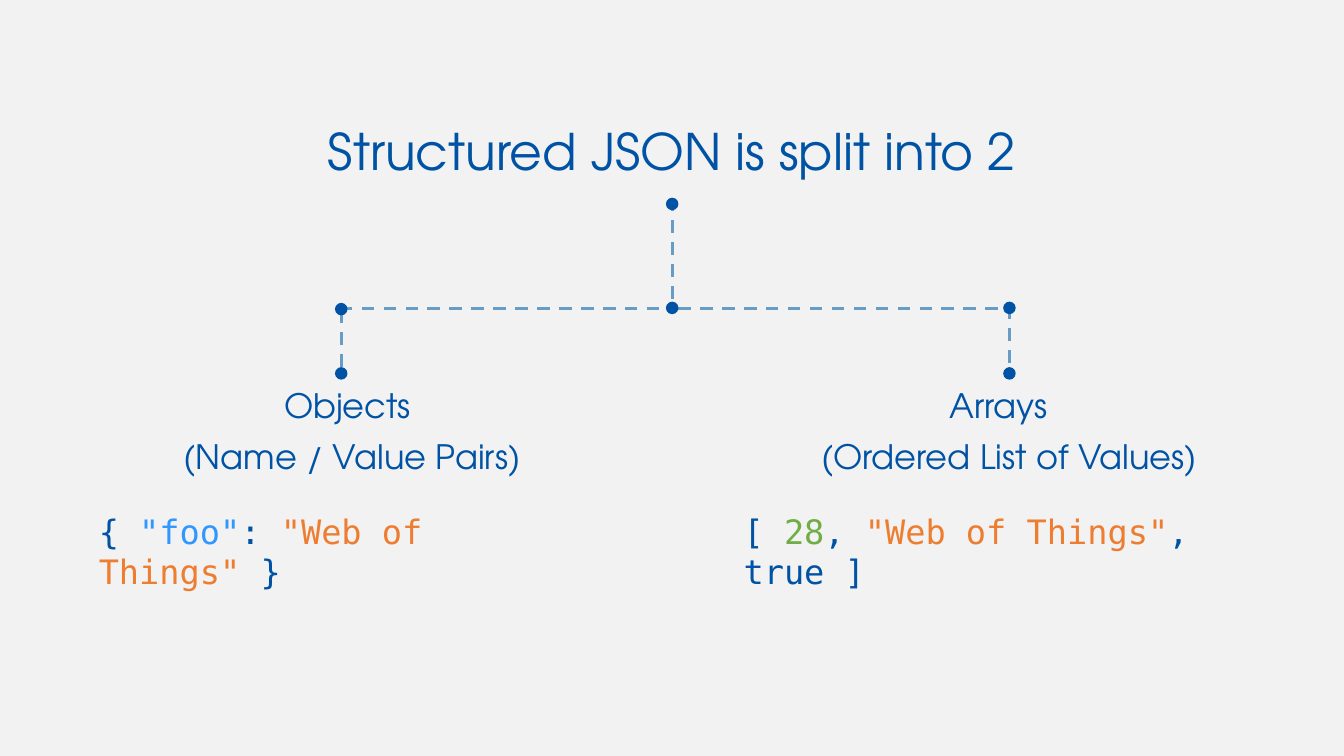
from dataclasses import dataclass
from typing import NamedTuple

from lxml import etree
from pptx import Presentation
from pptx import util as u
from pptx.dml.color import RGBColor
from pptx.enum import dml, shapes, text
from pptx.oxml.ns import qn


@dataclass(frozen=True)
class Theme:
    back: str = "F2F2F2"
    blue: str = "0052A5"
    dash: str = "679CC4"
    sky: str = "3097FF"
    orange: str = "ED7D31"
    green: str = "70AD47"
    sans: str = "TeX Gyre Adventor"
    mono: str = "DejaVu Sans Mono"
    head: int = 36
    body: int = 24


class Box(NamedTuple):
    left: float
    top: float
    width: float
    height: float


class Span(NamedTuple):
    x1: float
    y1: float
    x2: float
    y2: float


@dataclass(frozen=True)
class Branch:
    box: Box
    name: str
    indent: float
    note: str
    code_box: Box
    code: tuple[tuple[str, str], ...]


THEME = Theme()
DOT = 0.28
MID, LEFT, RIGHT = 16.94, 8.6, 25.44
TOP, FORK, END = 5.14, 7.76, 9.41

LINES = (
    Span(MID, 5, MID, 7.8),
    Span(8.56, 7.77, MID, 7.77),
    Span(LEFT, 7.82, LEFT, 9.53),
    Span(17.09, 7.77, 25.45, 7.77),
    Span(RIGHT, 7.72, RIGHT, 9.42),
)
DOTS = (
    (MID, FORK), (LEFT, FORK + 0.03), (RIGHT, FORK),
    (RIGHT, END), (LEFT, END), (MID, TOP),
)
BRANCHES = (
    Branch(
        Box(4.37, 9.7, 9.47, 2.21), "Objects", 2.54, "(Name / Value Pairs)",
        Box(2.24, 12.75, 12.67, 1.27),
        (("{ ", THEME.blue), ('"foo"', THEME.sky), (":", THEME.blue),
         (' "Web of Things" ', THEME.orange), ("}", THEME.blue)),
    ),
    Branch(
        Box(20.45, 9.7, 10.24, 2.21), "Arrays", 3.23, "(Ordered List of Values)",
        Box(18.49, 12.75, 14.17, 1.27),
        (("[ ", THEME.blue), ("28", THEME.green), (", ", THEME.blue),
         ('"Web of Things"', THEME.orange), (", true ]", THEME.blue)),
    ),
)


def rgb(code: str) -> RGBColor:
    return RGBColor.from_string(code)


def style(para, face: str, size: int) -> None:
    para.font.name = face
    para.font.size = u.Pt(size)
    para.font.color.rgb = rgb(THEME.blue)


def add_title(slide, words: str) -> None:
    title = slide.shapes.title
    title.left, title.top, title.width, title.height = map(
        u.Cm, Box(5.33, 1.96, 23.19, 3.84))
    frame = title.text_frame
    frame.text = words
    frame.auto_size = text.MSO_AUTO_SIZE.NONE
    frame.vertical_anchor = text.MSO_ANCHOR.MIDDLE
    para = frame.paragraphs[0]
    para.alignment = text.PP_ALIGN.CENTER
    para.line_spacing = 0.9
    style(para, THEME.sans, THEME.head)


def add_line(slide, span: Span) -> None:
    line = slide.shapes.add_connector(
        shapes.MSO_CONNECTOR.STRAIGHT, *map(u.Cm, span))
    line.line.color.rgb = rgb(THEME.dash)
    line.line.width = u.Pt(2.25)
    line.line.dash_style = dml.MSO_LINE.DASH
    etree.SubElement(line._element.spPr, qn("a:effectLst"))


def add_dot(slide, x: float, y: float) -> None:
    """Draw a dot centred on x, y."""
    dot = slide.shapes.add_shape(
        shapes.MSO_SHAPE.OVAL,
        *map(u.Cm, (x - DOT / 2, y - DOT / 2, DOT, DOT)))
    dot.shadow.inherit = False
    dot.fill.solid()
    dot.fill.fore_color.rgb = rgb(THEME.blue)
    dot.line.color.rgb = rgb(THEME.blue)
    dot.line.width = u.Pt(1)


def add_frame(slide, box: Box):
    frame = slide.shapes.add_textbox(*map(u.Cm, box)).text_frame
    frame.word_wrap = True
    return frame


def add_branch(slide, branch: Branch) -> None:
    frame = add_frame(slide, branch.box)
    frame.text = f"{branch.name}\n{branch.note}"
    for para in frame.paragraphs:
        para.line_spacing = 0.9
        para.space_before = u.Pt(10)
        style(para, THEME.sans, THEME.body)
    props = frame.paragraphs[0]._p.get_or_add_pPr()
    props.set("marL", str(u.Cm(branch.indent)))

    para = add_frame(slide, branch.code_box).paragraphs[0]
    style(para, THEME.mono, THEME.body)
    for words, color in branch.code:
        run = para.add_run()
        run.text = words
        run.font.color.rgb = rgb(color)


def main() -> None:
    deck = Presentation()
    deck.slide_width, deck.slide_height = u.Cm(33.87), u.Cm(19.05)
    slide = deck.slides.add_slide(deck.slide_layouts[5])
    slide.background.fill.solid()
    slide.background.fill.fore_color.rgb = rgb(THEME.back)
    add_title(slide, "Structured JSON is split into 2")
    for span in LINES:
        add_line(slide, span)
    for branch in BRANCHES:
        add_branch(slide, branch)
    for x, y in DOTS:
        add_dot(slide, x, y)
    deck.save("out.pptx")


if __name__ == "__main__":
    main()
